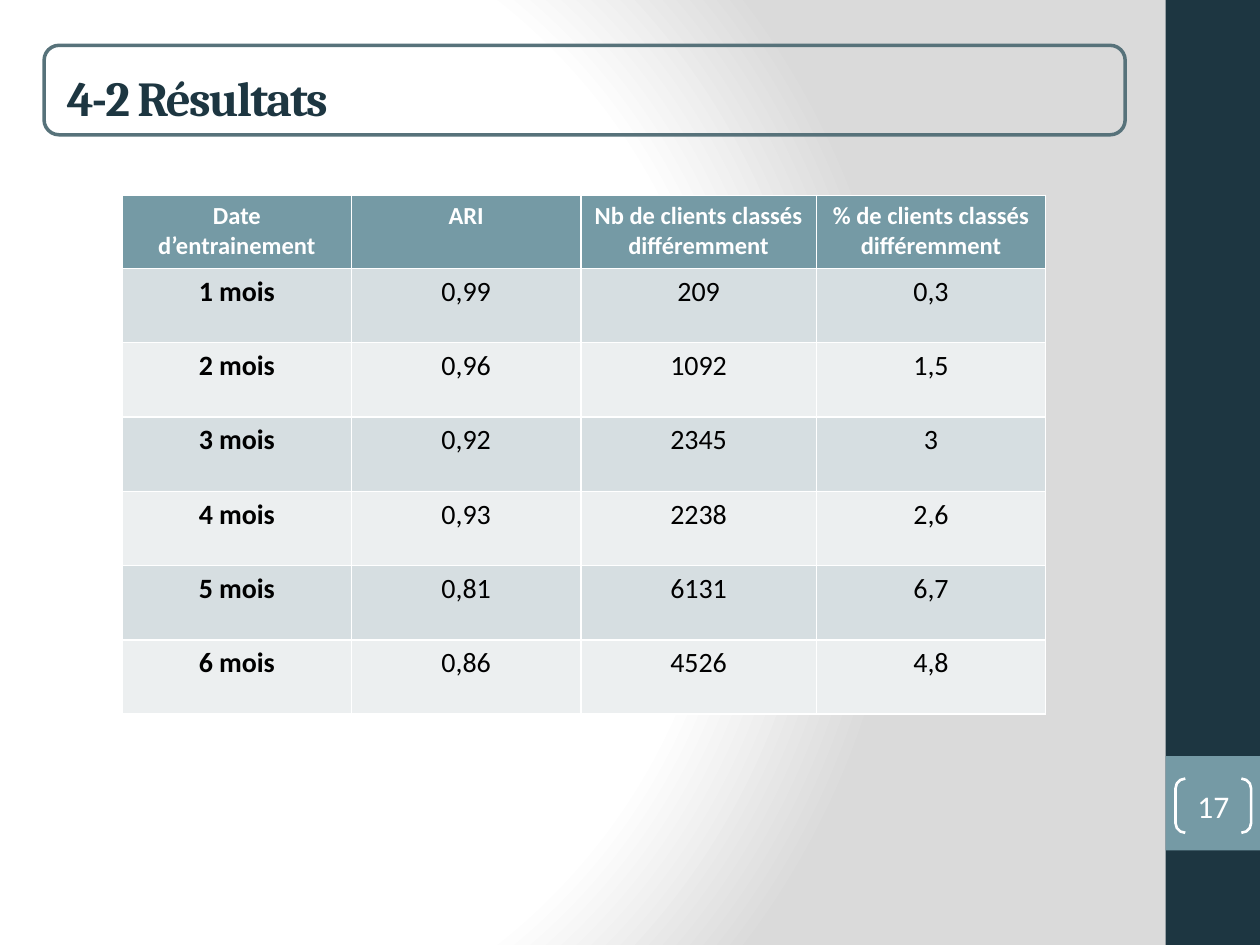
from dataclasses import dataclass
from typing import Optional

from pptx import Presentation
from pptx.dml.color import RGBColor
from pptx.enum.shapes import MSO_SHAPE as Shape
from pptx.enum.text import MSO_ANCHOR as Anchor, PP_ALIGN as Align
from pptx.oxml import parse_xml
from pptx.oxml.ns import nsdecls
from pptx.util import Inches, Pt

WIDTH, HEIGHT = 10, 7.5
NAVY, TEAL, SLATE, WHITE, BLACK = "1D3641", "759AA5", "57727A", "FFFFFF", "000000"
BANDS = ("D6DEE1", "ECEFF0")
GRADIENT_STOPS = ((0, WHITE), (75, WHITE), (100, "DADADA"))

HEADERS = ("Date d’entrainement", "ARI", "Nb de clients classés différemment",
           "% de clients classés différemment")
RESULTS = (
    ("1 mois", "0,99", "209", "0,3"),
    ("2 mois", "0,96", "1092", "1,5"),
    ("3 mois", "0,92", "2345", "3"),
    ("4 mois", "0,93", "2238", "2,6"),
    ("5 mois", "0,81", "6131", "6,7"),
    ("6 mois", "0,86", "4526", "4,8"),
)
COLUMN_WIDTHS = (1.82, 1.82, 1.87, 1.82)
HEADER_HEIGHT, ROW_HEIGHT = 0.58, 0.59


@dataclass
class Panel:
    kind: Shape
    left: float
    top: float
    width: float
    height: float
    fill: Optional[str] = None
    line: Optional[str] = None
    line_width: float = 1
    corner: Optional[float] = None


SIDEBAR = Panel(Shape.RECTANGLE, 9.25, 0, 0.75, HEIGHT, fill=NAVY)
NUMBER_BLOCK = Panel(Shape.RECTANGLE, 9.25, 6, 0.75, 0.75, fill=TEAL)
NUMBER_BRACKETS = Panel(Shape.DOUBLE_BRACKET, 9.33, 6.18, 0.6, 0.43,
                        line=WHITE, line_width=1.5, corner=0.18)
TITLE_FRAME = Panel(Shape.ROUNDED_RECTANGLE, 0.35, 0.36, 8.58, 0.71,
                    line=SLATE, line_width=2)


def color(value: str) -> RGBColor:
    return RGBColor.from_string(value)


def set_background(page) -> None:
    stops = "".join(f'<a:gs pos="{share * 1000}"><a:srgbClr val="{value}"/></a:gs>'
                    for share, value in GRADIENT_STOPS)
    page.element.cSld.insert(0, parse_xml(
        f'<p:bg {nsdecls("p", "a")}><p:bgPr><a:gradFill rotWithShape="1">'
        f'<a:gsLst>{stops}</a:gsLst><a:path path="circle">'
        '<a:fillToRect l="20000" t="50000" r="100000" b="50000"/></a:path>'
        '</a:gradFill><a:effectLst/></p:bgPr></p:bg>'))


def draw_panel(page, panel: Panel):
    box = page.shapes.add_shape(panel.kind, Inches(panel.left), Inches(panel.top),
                                Inches(panel.width), Inches(panel.height))
    box.shadow.inherit = False
    if panel.fill:
        box.fill.solid()
        box.fill.fore_color.rgb = color(panel.fill)
    else:
        box.fill.background()
    if panel.line:
        box.line.color.rgb = color(panel.line)
        box.line.width = Pt(panel.line_width)
    else:
        box.line.fill.background()
    if panel.corner is not None:
        box.adjustments[0] = panel.corner
    return box


def write(frame, text: str, size: float, ink: str, font: str = "Calibri",
          bold: bool = False, align: Align = Align.CENTER) -> None:
    frame.text = text
    para = frame.paragraphs[0]
    para.alignment = align
    para.font.name = font
    para.font.size = Pt(size)
    para.font.bold = bold
    para.font.color.rgb = color(ink)


def place_title(page, text: str) -> None:
    title = page.shapes.title
    title.left, title.top = Inches(0.43), Inches(0.49)
    title.width, title.height = Inches(7.73), Inches(1.18)
    frame = title.text_frame
    frame.vertical_anchor = Anchor.TOP
    write(frame, text, 27.9, NAVY, "Cambria", bold=True, align=Align.LEFT)
    span = frame.paragraphs[0].runs[0]
    span.font._element.set("spc", "-100")


def draw_number(page, number: str) -> None:
    frame = draw_panel(page, NUMBER_BRACKETS).text_frame
    frame.margin_left = frame.margin_right = 0
    frame.margin_top = frame.margin_bottom = 0
    frame.vertical_anchor = Anchor.MIDDLE
    write(frame, number, 18, WHITE)


def draw_results(page) -> None:
    rows = (HEADERS, *RESULTS)
    total_height = HEADER_HEIGHT + ROW_HEIGHT * len(RESULTS)
    table = page.shapes.add_table(
        len(rows), len(HEADERS), Inches(0.97), Inches(1.55),
        Inches(sum(COLUMN_WIDTHS)), Inches(total_height)).table
    for column, width in zip(table.columns, COLUMN_WIDTHS):
        column.width = Inches(width)
    for r, values in enumerate(rows):
        header = r == 0
        table.rows[r].height = Inches(HEADER_HEIGHT if header else ROW_HEIGHT)
        for c, value in enumerate(values):
            cell = table.cell(r, c)
            cell.fill.solid()
            cell.fill.fore_color.rgb = color(TEAL if header else BANDS[(r - 1) % 2])
            write(cell.text_frame, value, 14 if header else 16,
                  WHITE if header else BLACK, bold=header or c == 0)


def main() -> None:
    deck = Presentation()
    deck.slide_width, deck.slide_height = Inches(WIDTH), Inches(HEIGHT)
    page = deck.slides.add_slide(deck.slide_layouts.get_by_name("Title Only"))
    set_background(page)
    for panel in (SIDEBAR, NUMBER_BLOCK, TITLE_FRAME):
        draw_panel(page, panel)
    draw_number(page, "17")
    place_title(page, "4-2 Résultats")
    draw_results(page)
    deck.save("out.pptx")


if __name__ == "__main__":
    main()
